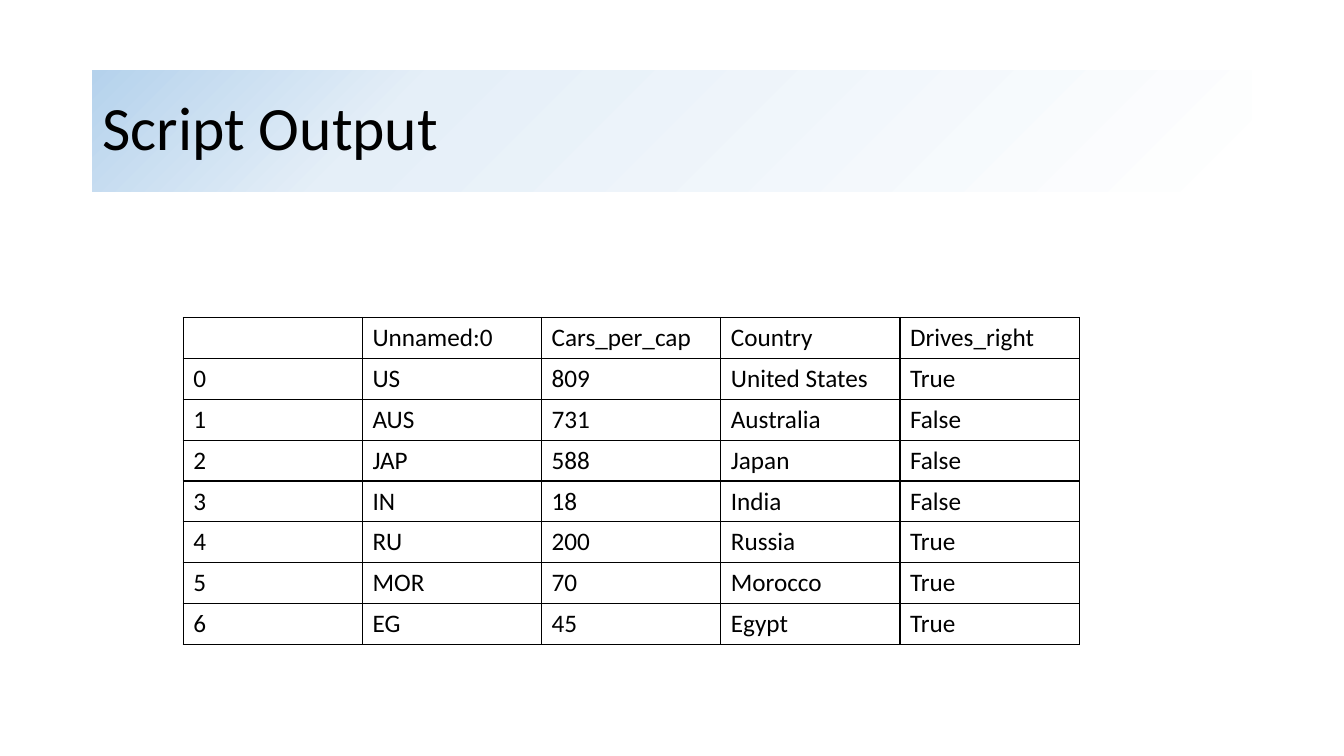
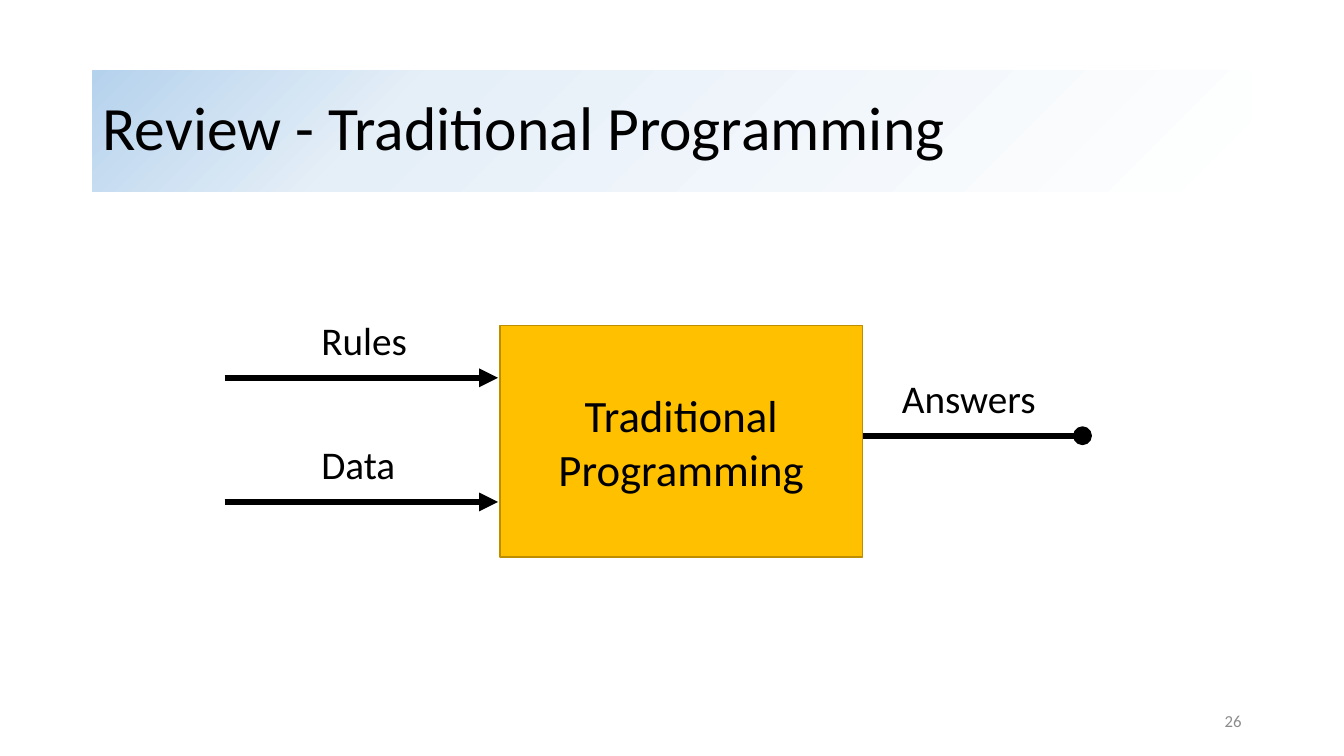
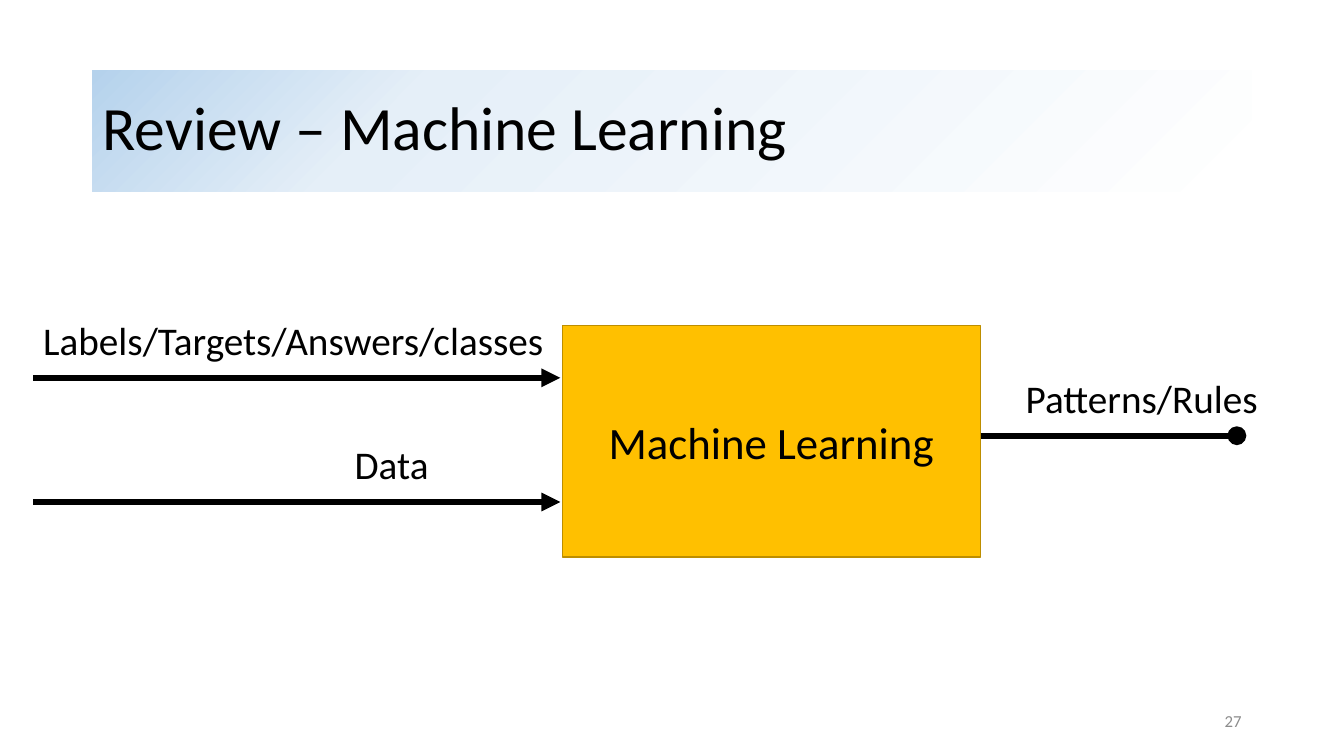
from copy import deepcopy

from lxml import etree
from pptx import Presentation
from pptx.dml.color import RGBColor
from pptx.enum.shapes import MSO_CONNECTOR, MSO_SHAPE
from pptx.enum.text import MSO_ANCHOR, MSO_AUTO_SIZE, PP_ALIGN
from pptx.oxml.ns import qn
from pptx.util import Cm, Pt

LEFT, CENTER, RIGHT = PP_ALIGN.LEFT, PP_ALIGN.CENTER, PP_ALIGN.RIGHT
MIDDLE, TOP = MSO_ANCHOR.MIDDLE, MSO_ANCHOR.TOP
NO_AUTOSIZE = MSO_AUTO_SIZE.NONE
RECTANGLE, STRAIGHT = MSO_SHAPE.RECTANGLE, MSO_CONNECTOR.STRAIGHT

FONT = "Calibri"
BLACK, GREY, AMBER, DARK_AMBER = "000000", "8C8C8C", "FFC000", "BD8E00"
TITLE_GRADIENT = [(0, "FFFFFF"), (0.73, "E5EFF8"), (1, "B5D2EC")]
TITLE_ONLY = 5

CARS = [
    ["", "Unnamed:0", "Cars_per_cap", "Country", "Drives_right"],
    ["0", "US", "809", "United States", "True"],
    ["1", "AUS", "731", "Australia", "False"],
    ["2", "JAP", "588", "Japan", "False"],
    ["3", "IN", "18", "India", "False"],
    ["4", "RU", "200", "Russia", "True"],
    ["5", "MOR", "70", "Morocco", "True"],
    ["6", "EG", "45", "Egypt", "True"],
]


def rgb(color):
    return RGBColor.from_string(color)


def set_text(tf, text, size, color=BLACK, align=LEFT, anchor=TOP):
    tf.word_wrap = True
    tf.auto_size = NO_AUTOSIZE
    tf.vertical_anchor = anchor
    p = tf.paragraphs[0]
    p.text = text
    p.alignment = align
    set_font(p, size, color)
    return p


def set_font(p, size, color=BLACK):
    p.font.name = FONT
    p.font.size = Pt(size)
    p.font.color.rgb = rgb(color)


def add_text(s, left, top, width, height, text, size, **style):
    box = s.shapes.add_textbox(Cm(left), Cm(top), Cm(width), Cm(height))
    set_text(box.text_frame, text, size, **style)


def add_titled_slide(prs, title, number=None):
    s = prs.slides.add_slide(prs.slide_layouts[TITLE_ONLY])
    sp = s.shapes.title
    sp.left, sp.top, sp.width, sp.height = Cm(2.33), Cm(1.77), Cm(29.21), Cm(3.06)
    sp.fill.gradient()
    sp.fill.gradient_angle = 135
    stops = sp._element.spPr.find(".//" + qn("a:gsLst"))
    stops.append(deepcopy(stops[-1]))
    for stop, (position, color) in zip(sp.fill.gradient_stops, TITLE_GRADIENT):
        stop.position = position
        stop.color.rgb = rgb(color)
    p = set_text(sp.text_frame, title, 44, anchor=MIDDLE)
    p.line_spacing = 0.9
    if number is not None:
        add_text(s, 23.92, 17.65, 7.62, 1.01, str(number), 12,
                 color=GREY, align=RIGHT, anchor=MIDDLE)
    return s


def set_borders(cell, color, width):
    tcPr = cell._tc.get_or_add_tcPr()
    for side in ("a:lnL", "a:lnR", "a:lnT", "a:lnB"):
        ln = etree.SubElement(tcPr, qn(side), w=str(Pt(width)))
        fill = etree.SubElement(ln, qn("a:solidFill"))
        etree.SubElement(fill, qn("a:srgbClr"), val=color)


def add_grid_table(s, left, top, width, height, rows):
    frame = s.shapes.add_table(len(rows), len(rows[0]),
                               Cm(left), Cm(top), Cm(width), Cm(height))
    table = frame.table
    table.first_row = table.horz_banding = False
    for i, row in enumerate(rows):
        for j, text in enumerate(row):
            cell = table.cell(i, j)
            set_borders(cell, BLACK, 1)
            cell.fill.background()
            cell.text = text
            set_font(cell.text_frame.paragraphs[0], 18)


def add_arrow(s, x1, x2, y, head):
    line = s.shapes.add_connector(STRAIGHT, Cm(x1), Cm(y), Cm(x2), Cm(y))
    line.line.color.rgb = rgb(BLACK)
    line.line.width = Pt(4.5)
    etree.SubElement(line.line._get_or_add_ln(), qn("a:tailEnd"), type=head)
    etree.SubElement(line._element.spPr, qn("a:effectLst"))


def add_flow(s, left, top, width, process, inputs, output):
    """Draw inputs, a process box and its output.

    process is (text, x, width); each input and the output is
    (label, x, label width), with x measured from left.
    """
    text, x, process_width = process
    box_left = left + x
    box = s.shapes.add_shape(RECTANGLE, Cm(box_left), Cm(top),
                             Cm(process_width), Cm(5.84))
    box.shadow.inherit = False
    box.fill.solid()
    box.fill.fore_color.rgb = rgb(AMBER)
    box.line.color.rgb = rgb(DARK_AMBER)
    box.line.width = Pt(1)
    set_text(box.text_frame, text, 32, align=CENTER, anchor=MIDDLE)

    input_span = (left, box_left - 0.05, "triangle")
    output_span = (box_left + process_width, left + width, "oval")
    flows = [(*inputs[0], 1.32, *input_span),
             (*inputs[1], 4.45, *input_span),
             (*output, 2.78, *output_span)]
    for label, x, label_width, y, start, end, head in flows:
        add_arrow(s, start, end, top + y, head)
        add_text(s, left + x, top + y - 1.67, label_width, 1.45, label, 28)


def main():
    prs = Presentation()
    prs.slide_width, prs.slide_height = Cm(33.87), Cm(19.05)

    s = add_titled_slide(prs, "Script Output")
    add_grid_table(s, 4.62, 8, 22.58, 8.24, CARS)

    s = add_titled_slide(prs, "Review - Traditional Programming", 26)
    add_flow(s, 5.66, 8.2, 21.62, ("Traditional Programming", 6.94, 9.14),
             [("Rules", 2.19, 3.84), ("Data", 2.19, 3.84)],
             ("Answers", 16.82, 5.56))

    s = add_titled_slide(prs, "Review – Machine Learning", 27)
    add_flow(s, 0.84, 8.2, 30.33, ("Machine Learning", 13.33, 10.54),
             [("Labels/Targets/Answers/classes", 0, 13.28), ("Data", 7.85, 4.42)],
             ("Patterns/Rules", 24.76, 6.43))

    prs.save("out.pptx")


if __name__ == "__main__":
    main()
